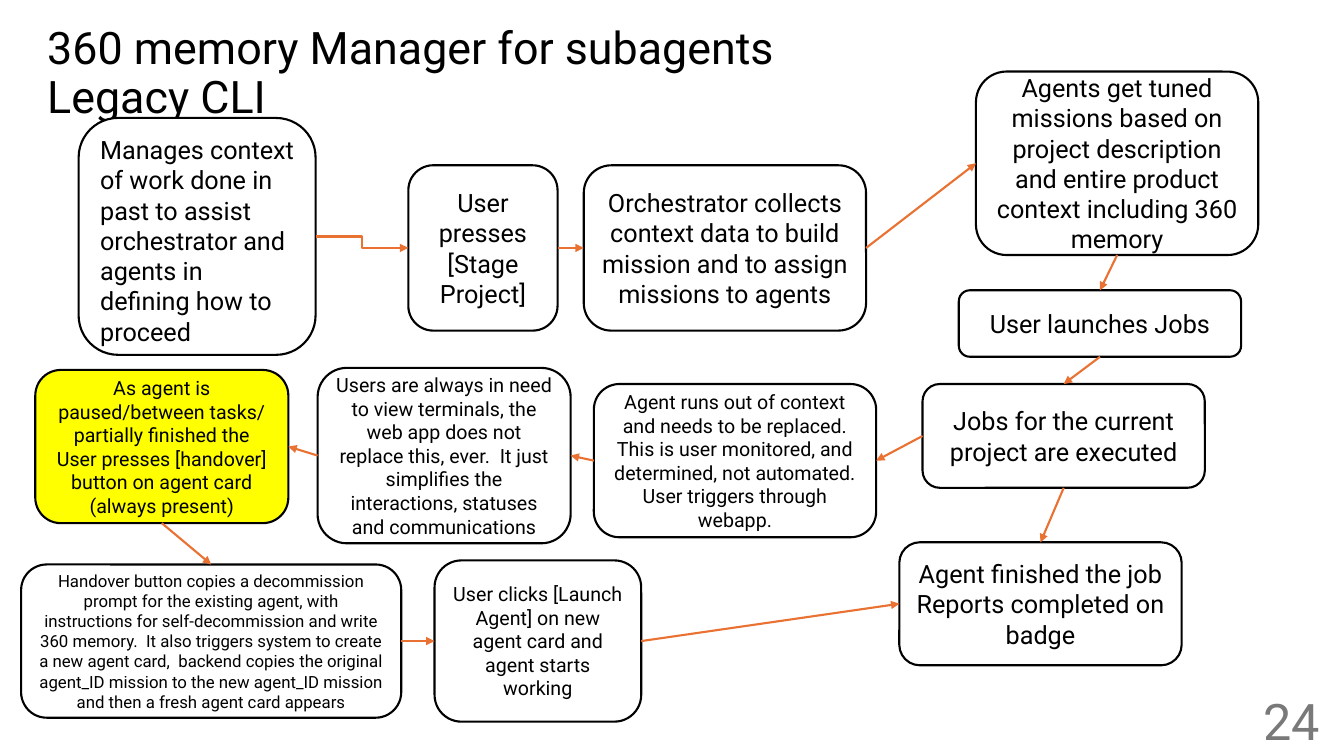
import pptx
import pptx.util
import pptx.dml.color
import pptx.enum.shapes
import pptx.enum.text
import pptx.oxml.ns
from lxml import etree

PX = 9144  # 100 px to the inch
Pt = pptx.util.Pt
RGBColor = pptx.dml.color.RGBColor
BLACK = RGBColor(0x00, 0x00, 0x00)
WHITE = RGBColor(0xFF, 0xFF, 0xFF)
YELLOW = RGBColor(0xFF, 0xFF, 0x00)
ORANGE = RGBColor(0xE9, 0x71, 0x32)
GRAY = RGBColor(0x79, 0x79, 0x79)
ALIGN = pptx.enum.text.PP_ALIGN
ANCHOR = pptx.enum.text.MSO_ANCHOR
SHAPE = pptx.enum.shapes.MSO_SHAPE
CONNECTOR = pptx.enum.shapes.MSO_CONNECTOR
TOP, LEFT, BOTTOM, RIGHT = range(4)


def write(sp, text, size, color=BLACK, align=ALIGN.CENTER, anchor=ANCHOR.MIDDLE):
    tf = sp.text_frame
    tf.word_wrap = True
    tf.vertical_anchor = anchor
    tf.text = text
    for p in tf.paragraphs:
        p.alignment = align
        for r in p.runs:
            for name, value in {"name": "Roboto", "size": Pt(size)}.items():
                setattr(r.font, name, value)
            r.font.color.rgb = color


prs = pptx.Presentation()
prs.slide_width, prs.slide_height = 1333 * PX, 750 * PX
s = prs.slides.add_slide(prs.slide_layouts[6])

title = s.shapes.add_textbox(37 * PX, 40 * PX, 891 * PX, 68 * PX)
write(title, "360 memory Manager for subagents\vLegacy CLI", 32, align=ALIGN.LEFT)
title.text_frame.paragraphs[0].line_spacing = 0.9

number = s.shapes.add_textbox(1019 * PX, 695 * PX, 300 * PX, 40 * PX)
write(number, "24", 36, GRAY, ALIGN.RIGHT)

# key: left, top, width, height, text size, text
steps = {
    "context": (78, 117, 235, 235, 18, "Manages context of work done in past to assist "
                "orchestrator and agents in defining how to proceed"),
    "stage": (405, 164, 148, 164, 18, "User presses [Stage Project]"),
    "orchestrator": (579, 164, 280, 164, 18, "Orchestrator collects context data to build "
                     "mission and to assign missions to agents"),
    "missions": (968, 71, 280, 182, 18, "Agents get tuned missions based on project "
                 "description and entire product context including 360 memory"),
    "launch": (951, 288, 280, 66, 18, "User launches Jobs"),
    "jobs": (915, 381, 280, 103, 18, "Jobs for the current project are executed"),
    "finished": (892, 538, 280, 122, 18, "Agent finished the job\nReports completed on badge"),
    "replace": (589, 381, 280, 152, 14, "Agent runs out of context and needs to be replaced. "
                "This is user monitored, and determined, not automated. "
                "User triggers through webapp."),
    "terminals": (315, 365, 251, 174, 14, "Users are always in need to view terminals, the web "
                  "app does not replace this, ever.  It just simplifies the interactions, "
                  "statuses and communications"),
    "handover": (35, 367, 251, 152, 14, "As agent is paused/between tasks/ partially finished "
                 "the User presses [handover] button on agent card (always present)"),
    "decommission": (21, 560, 377, 152, 12, "Handover button copies a decommission prompt for the "
                     "existing agent, with instructions for self-decommission and write 360 "
                     "memory.  It also triggers system to create a new agent card,  backend "
                     "copies the original agent_ID mission to the new agent_ID mission and "
                     "then a fresh agent card appears"),
    "relaunch": (431, 556, 205, 160, 14, "User clicks [Launch Agent] on new agent card and "
                 "agent starts working"),
}
boxes = {}
for key, (x, y, w, h, size, text) in steps.items():
    sp = s.shapes.add_shape(SHAPE.ROUNDED_RECTANGLE, x * PX, y * PX, w * PX, h * PX)
    sp.shadow.inherit = False
    sp.fill.solid()
    sp.fill.fore_color.rgb = YELLOW if key == "handover" else WHITE
    sp.line.color.rgb = BLACK
    sp.line.width = Pt(1.5)
    if key == "context":
        write(sp, text, size, align=ALIGN.LEFT, anchor=ANCHOR.TOP)
    else:
        write(sp, text, size)
    boxes[key] = sp

arrows = [
    ("context", RIGHT, "stage", LEFT, CONNECTOR.ELBOW, 2),
    ("stage", RIGHT, "orchestrator", LEFT, CONNECTOR.ELBOW, 1.5),
    ("orchestrator", RIGHT, "missions", LEFT, CONNECTOR.STRAIGHT, 1.5),
    ("missions", BOTTOM, "launch", TOP, CONNECTOR.STRAIGHT, 1.5),
    ("launch", BOTTOM, "jobs", TOP, CONNECTOR.STRAIGHT, 1.5),
    ("jobs", BOTTOM, "finished", TOP, CONNECTOR.STRAIGHT, 1.5),
    ("jobs", LEFT, "replace", RIGHT, CONNECTOR.STRAIGHT, 1.5),
    ("replace", LEFT, "terminals", RIGHT, CONNECTOR.STRAIGHT, 1.5),
    ("terminals", LEFT, "handover", RIGHT, CONNECTOR.STRAIGHT, 1.5),
    ("handover", BOTTOM, "decommission", TOP, CONNECTOR.STRAIGHT, 1.5),
    ("decommission", RIGHT, "relaunch", LEFT, CONNECTOR.STRAIGHT, 1.5),
    ("relaunch", RIGHT, "finished", LEFT, CONNECTOR.STRAIGHT, 1.5),
]
for start, start_side, end, end_side, kind, width in arrows:
    arrow = s.shapes.add_connector(kind, 0, 0, 0, 0)
    arrow.begin_connect(boxes[start], start_side)
    arrow.end_connect(boxes[end], end_side)
    arrow.line.color.rgb = ORANGE
    arrow.line.width = Pt(width)
    ln = arrow.line._get_or_add_ln()
    etree.SubElement(ln, pptx.oxml.ns.qn("a:tailEnd"), type="triangle")
    etree.SubElement(arrow._element.spPr, pptx.oxml.ns.qn("a:effectLst"))

prs.save("out.pptx")
